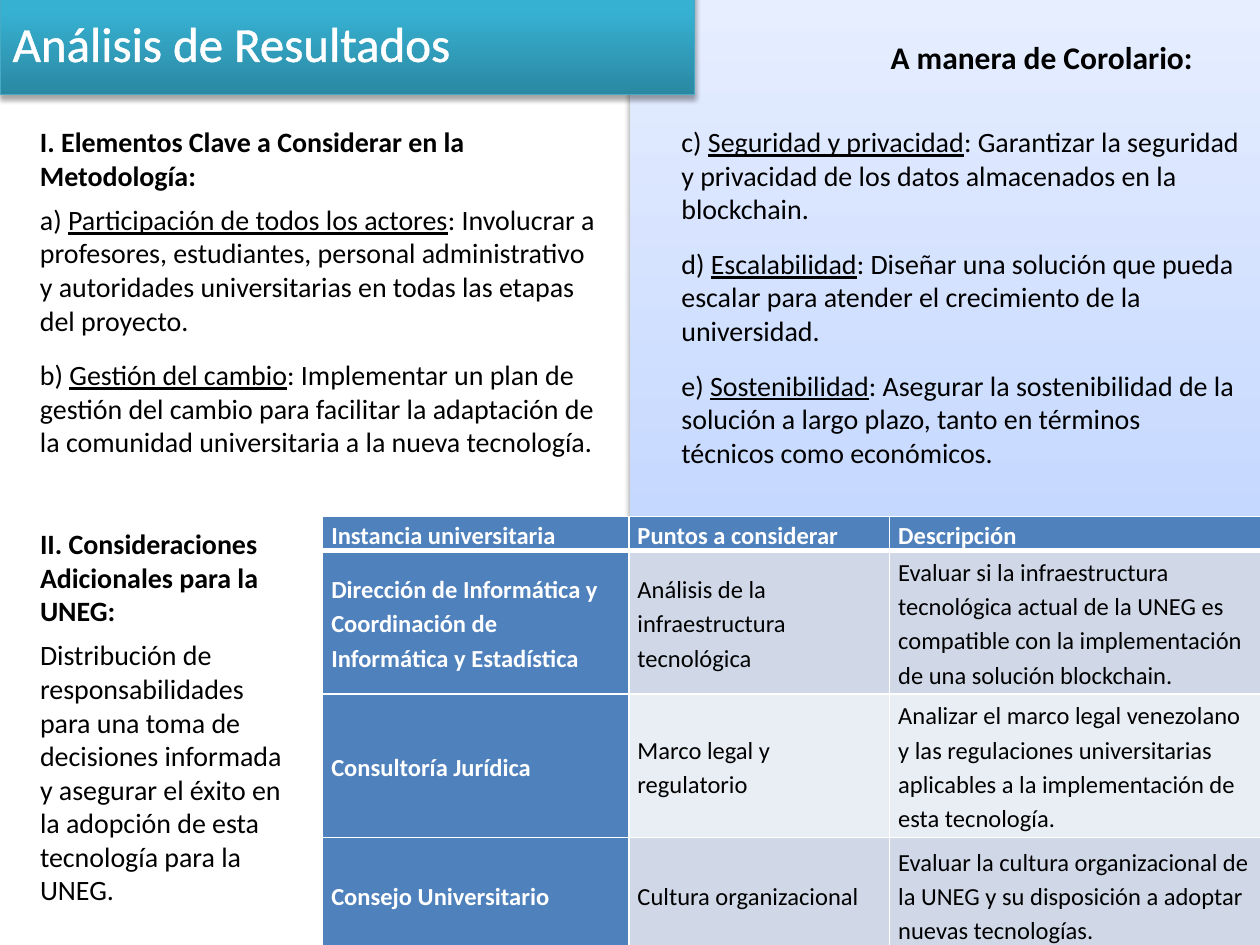
"""Build the results slide with two text columns and a responsibilities table."""
from dataclasses import dataclass

from pptx import Presentation
from pptx import util as u
from pptx.dml.color import RGBColor
from pptx.enum import text
from pptx.oxml import parse_xml
from pptx.oxml.ns import nsdecls, qn

FONT = "Calibri"
BLACK, WHITE, BLUE = "000000", "FFFFFF", "4F81BD"
BANDS = ("D0D8E8", "E9EDF4")


@dataclass
class Para:
    lead: str
    term: str = ""
    rest: str = ""
    bold: bool = False
    after: float = 12


@dataclass
class Block:
    left: float
    top: float
    width: float
    height: float
    paras: list[Para]
    size: float = 16


BLOCKS = [
    Block(15.8, 67.7, 333.4, 204.5, [
        Para("I. Elementos Clave a Considerar en la Metodología:", bold=True, after=6),
        Para("a) ", "Participación de todos los actores",
             ": Involucrar a profesores, estudiantes, personal administrativo y autoridades "
             "universitarias en todas las etapas del proyecto."),
        Para("b) ", "Gestión del cambio",
             ": Implementar un plan de gestión del cambio para facilitar la adaptación de la "
             "comunidad universitaria a la nueva tecnología."),
    ]),
    Block(15.8, 297.4, 157, 234, [
        Para("II. Consideraciones Adicionales para la UNEG:", bold=True, after=6),
        Para("Distribución de responsabilidades para una toma de decisiones informada y asegurar "
             "el éxito en la adopción de esta tecnología para la UNEG.", after=6),
    ]),
    Block(501.8, 18, 202.3, 28.8, [Para("A manera de Corolario:", bold=True)], size=18),
    Block(382.3, 67.7, 333.4, 205.9, [
        Para("c) ", "Seguridad y privacidad",
             ": Garantizar la seguridad y privacidad de los datos almacenados en la blockchain."),
        Para("d) ", "Escalabilidad",
             ": Diseñar una solución que pueda escalar para atender el crecimiento de la "
             "universidad."),
        Para("e) ", "Sostenibilidad",
             ": Asegurar la sostenibilidad de la solución a largo plazo, tanto en términos "
             "técnicos como económicos."),
    ]),
]

COLUMNS = (175, 149, 212)
ROW_HEIGHTS = (16, 82, 82, 65.5)
ROWS = [
    ("Instancia universitaria", "Puntos a considerar", "Descripción"),
    ("Dirección de Informática y Coordinación de Informática y Estadística",
     "Análisis de la infraestructura tecnológica",
     "Evaluar si la infraestructura tecnológica actual de la UNEG es compatible con la "
     "implementación de una solución blockchain."),
    ("Consultoría Jurídica", "Marco legal y regulatorio",
     "Analizar el marco legal venezolano y las regulaciones universitarias aplicables a la "
     "implementación de esta tecnología."),
    ("Consejo Universitario", "Cultura organizacional",
     "Evaluar la cultura organizacional de la UNEG y su disposición a adoptar nuevas "
     "tecnologías."),
]


def paint(color_format, value: str) -> None:
    """Apply a hex colour to a colour format."""
    color_format.rgb = RGBColor.from_string(value)


def add_span(para, words: str, *, size: float, color: str = BLACK,
             bold: bool = False, underline: bool = False):
    """Append a formatted run to a paragraph."""
    span = para.add_run()
    span.text = words
    font = span.font
    font.name, font.size, font.bold, font.underline = FONT, u.Pt(size), bold, underline
    paint(font.color, color)
    return span


def fill_gradient(shape, stops: list[tuple[int, str]]) -> None:
    """Fill a shape with a gradient rising from its bottom edge."""
    shape.fill.gradient()
    shape.fill.gradient_angle = 90
    stop_list = shape.element.spPr.find(".//" + qn("a:gsLst"))
    for stop in list(stop_list):
        stop_list.remove(stop)
    for percent, color in stops:
        stop_list.append(parse_xml(
            f'<a:gs {nsdecls("a")} pos="{percent * 1000}"><a:srgbClr val="{color}"/></a:gs>'))


def add_shadow(shape, alpha: int, distance: float) -> None:
    """Give a shape a soft shadow that falls downwards."""
    shape.element.spPr.append(parse_xml(
        f'<a:effectLst {nsdecls("a")}><a:outerShdw blurRad="{u.Pt(3.1)}" '
        f'dist="{u.Pt(distance)}" dir="5400000" rotWithShape="0"><a:srgbClr val="{BLACK}">'
        f'<a:alpha val="{alpha * 1000}"/></a:srgbClr></a:outerShdw></a:effectLst>'))


def line_xml(tag: str, width: float):
    """Return a solid white line element."""
    return parse_xml(f'<a:{tag} {nsdecls("a")} w="{u.Pt(width)}"><a:solidFill>'
                     f'<a:srgbClr val="{WHITE}"/></a:solidFill></a:{tag}>')


def add_panel(page) -> None:
    """Draw the shaded right half of the page."""
    panel = page.shapes.add_shape(1, u.Pt(360), u.Pt(0), u.Pt(360), u.Pt(540))
    fill_gradient(panel, [(0, "A4C4FF"), (35, "BFD4FF"), (100, "E6EEFF")])
    panel.line.fill.background()
    add_shadow(panel, 38, 1.6)


def add_block(page, block: Block) -> None:
    """Draw a text box with its paragraphs."""
    box = page.shapes.add_textbox(
        *(u.Pt(n) for n in (block.left, block.top, block.width, block.height)))
    frame = box.text_frame
    frame.word_wrap = True
    frame.auto_size = text.MSO_AUTO_SIZE.SHAPE_TO_FIT_TEXT
    for index, item in enumerate(block.paras):
        para = frame.add_paragraph() if index else frame.paragraphs[0]
        para.space_after = u.Pt(item.after)
        for words, underline in ((item.lead, False), (item.term, True), (item.rest, False)):
            if words:
                add_span(para, words, size=block.size, bold=item.bold, underline=underline)


def format_cell(cell, words: str, row: int, column: int) -> None:
    """Write, colour and frame one table cell."""
    heading = row == 0 or column == 0
    cell.margin_left = cell.margin_right = u.Pt(5)
    cell.margin_top = cell.margin_bottom = u.Pt(0)
    cell.vertical_anchor = text.MSO_ANCHOR.MIDDLE
    para = cell.text_frame.paragraphs[0]
    para.line_spacing = 1.15
    add_span(para, words, size=14, color=WHITE if heading else BLACK, bold=heading)
    cell.fill.solid()
    paint(cell.fill.fore_color, BLUE if heading else BANDS[(row - 1) % 2])
    widths = {"lnL": 1, "lnR": 1, "lnT": 3 if row == 1 else 1, "lnB": 3 if row == 0 else 1}
    properties = cell._tc.get_or_add_tcPr()
    for index, (tag, width) in enumerate(widths.items()):
        properties.insert(index, line_xml(tag, width))


def add_responsibilities(page) -> None:
    """Draw the table of university bodies and their points."""
    table = page.shapes.add_table(
        len(ROWS), len(COLUMNS), u.Pt(184.3), u.Pt(295.2),
        u.Pt(sum(COLUMNS)), u.Pt(sum(ROW_HEIGHTS))).table
    table.horz_banding = False
    for column, width in zip(table.columns, COLUMNS):
        column.width = u.Pt(width)
    for index, (height, words) in enumerate(zip(ROW_HEIGHTS, ROWS)):
        table.rows[index].height = u.Pt(height)
        for column, cell_words in enumerate(words):
            format_cell(table.cell(index, column), cell_words, index, column)


def format_title(page) -> None:
    """Turn the title placeholder into the banner in front of the page."""
    title = page.shapes.title
    title.left, title.top, title.width, title.height = (u.Pt(n) for n in (0, 3.6, 396.7, 41.2))
    fill_gradient(title, [(0, "2A88A2"), (80, "37B1D2"), (100, "34B4D6")])
    title.line.width = u.Pt(0.75)
    paint(title.line.color, "46AAC5")
    add_shadow(title, 35, 1.8)
    frame = title.text_frame
    frame.word_wrap = True
    frame.auto_size = text.MSO_AUTO_SIZE.SHAPE_TO_FIT_TEXT
    frame.vertical_anchor = text.MSO_ANCHOR.MIDDLE
    para = frame.paragraphs[0]
    para.alignment = text.PP_ALIGN.LEFT
    span = add_span(para, "Análisis de Resultados", size=28, color=WHITE)
    span.font._element.insert(0, line_xml("ln", 1.45))
    title.element.getparent().append(title.element)


def main() -> None:
    """Assemble and save the deck."""
    deck = Presentation()
    deck.slide_width, deck.slide_height = u.Pt(720), u.Pt(540)
    page = deck.slides.add_slide(deck.slide_layouts[5])
    add_panel(page)
    for block in BLOCKS:
        add_block(page, block)
    add_responsibilities(page)
    format_title(page)
    deck.save("out.pptx")


if __name__ == "__main__":
    main()
